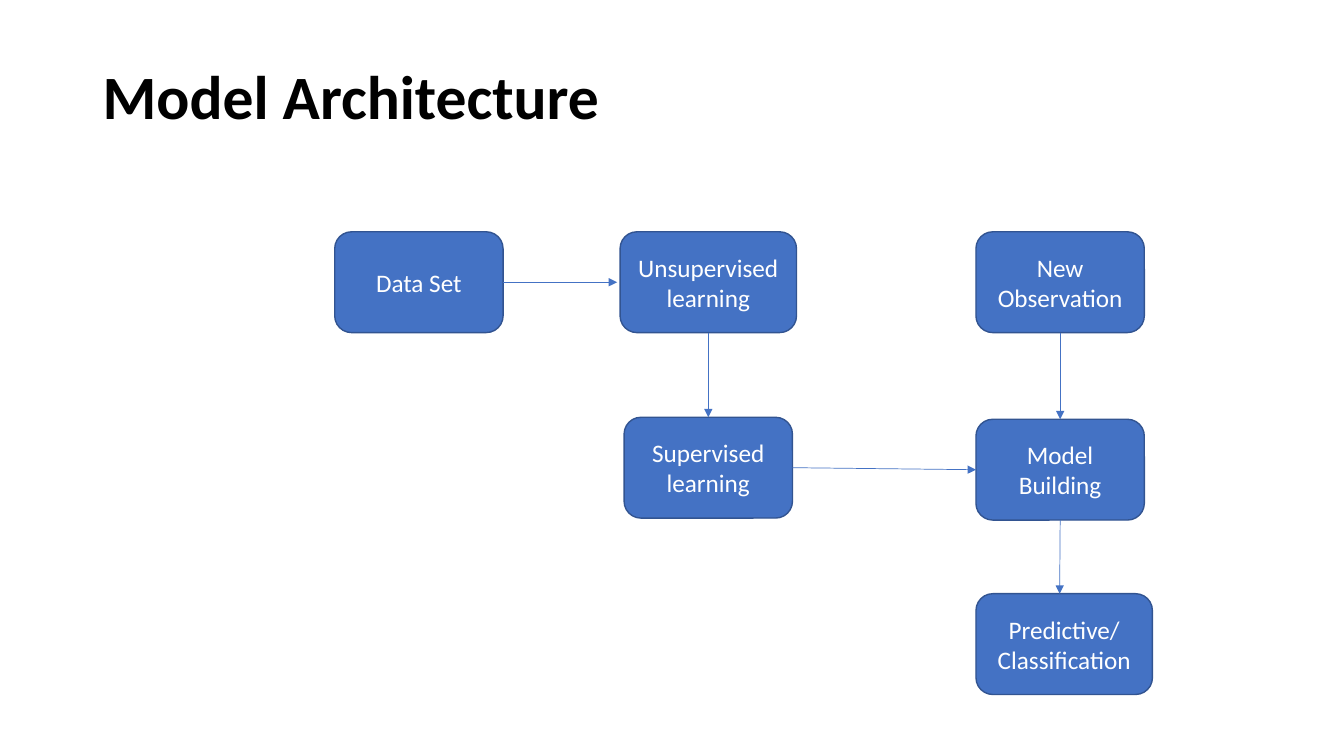
from dataclasses import dataclass

from lxml.etree import SubElement
from pptx import Presentation
from pptx.dml.color import RGBColor as Color
from pptx.enum.shapes import MSO_CONNECTOR as Connector, MSO_SHAPE as Shape
from pptx.enum.text import MSO_ANCHOR as Anchor, PP_ALIGN as Align
from pptx.oxml.ns import qn
from pptx.util import Inches, Pt

TOP, LEFT, BOTTOM, RIGHT = range(4)


@dataclass(frozen=True)
class Theme:
    font: str = "Calibri"
    title_size: int = 44
    box_size: int = 18
    title_color: Color = Color(0x00, 0x00, 0x00)
    box_text: Color = Color(0xFF, 0xFF, 0xFF)
    box_fill: Color = Color(0x44, 0x72, 0xC4)
    box_line: Color = Color(0x32, 0x54, 0x91)
    box_line_width: float = 1
    arrow_width: float = 0.5


class FlowSlide:
    """Holds the theme and the current slide; draws each kind of element."""

    def __init__(self, slide, theme):
        self.slide = slide
        self.theme = theme

    def set_text(self, shape, text, size, color, align, bold=False):
        frame = shape.text_frame
        frame.word_wrap = True
        frame.vertical_anchor = Anchor.MIDDLE
        frame.text = text
        paragraph = frame.paragraphs[0]
        paragraph.alignment = align
        font = paragraph.runs[0].font
        font.name, font.size, font.bold = self.theme.font, Pt(size), bold
        font.color.rgb = color
        return paragraph

    def title(self, text, left, top, width, height):
        shape = self.slide.shapes.add_textbox(
            Inches(left), Inches(top), Inches(width), Inches(height))
        paragraph = self.set_text(shape, text, self.theme.title_size,
                                  self.theme.title_color, Align.LEFT, bold=True)
        paragraph.line_spacing = 0.9

    def box(self, text, left, top, width=1.67, height=1):
        shape = self.slide.shapes.add_shape(
            Shape.ROUNDED_RECTANGLE,
            Inches(left), Inches(top), Inches(width), Inches(height))
        shape.shadow.inherit = False
        shape.fill.solid()
        shape.fill.fore_color.rgb = self.theme.box_fill
        shape.line.color.rgb = self.theme.box_line
        shape.line.width = Pt(self.theme.box_line_width)
        self.set_text(shape, text, self.theme.box_size,
                      self.theme.box_text, Align.CENTER)
        return shape

    def arrow(self, source, side, target=None, target_side=None, end=(0, 0)):
        """Joins a box side to another box side, or to a free end point."""
        end_x, end_y = end
        connector = self.slide.shapes.add_connector(
            Connector.STRAIGHT, 0, 0, Inches(end_x), Inches(end_y))
        connector.begin_connect(source, side)
        if target is not None:
            connector.end_connect(target, target_side)
        connector.line.color.rgb = self.theme.box_fill
        connector.line.width = Pt(self.theme.arrow_width)
        properties = connector._element.spPr
        SubElement(properties.find(qn("a:ln")), qn("a:tailEnd"), type="triangle")
        SubElement(properties, qn("a:effectLst"))


def main():
    presentation = Presentation()
    presentation.slide_width = Inches(13.33)
    presentation.slide_height = Inches(7.5)
    slide = presentation.slides.add_slide(presentation.slide_layouts[6])
    flow = FlowSlide(slide, Theme())

    flow.title("Model Architecture", 0.92, 0.26, 11.5, 1.45)

    # Boxes: a shared top row, with two columns running down from it
    top_row, model_column = 2.3, 9.68
    data_set = flow.box("Data Set", 3.32, top_row)
    unsupervised = flow.box("Unsupervised learning", 6.15, top_row, width=1.75)
    supervised = flow.box("Supervised learning", 6.19, 4.14)
    observation = flow.box("New Observation", model_column, top_row)
    model = flow.box("Model Building", model_column, 4.16)
    flow.box("Predictive/ Classification", model_column, 5.89, width=1.75)

    # Arrows between box sides
    flow.arrow(unsupervised, BOTTOM, supervised, TOP)
    flow.arrow(supervised, RIGHT, model, LEFT)
    flow.arrow(observation, BOTTOM, model, TOP)

    # Arrows that end off a side's middle
    flow.arrow(data_set, RIGHT, end=(6.12, 2.8))
    flow.arrow(model, BOTTOM, end=(10.51, 5.89))

    presentation.save("out.pptx")


if __name__ == "__main__":
    main()
